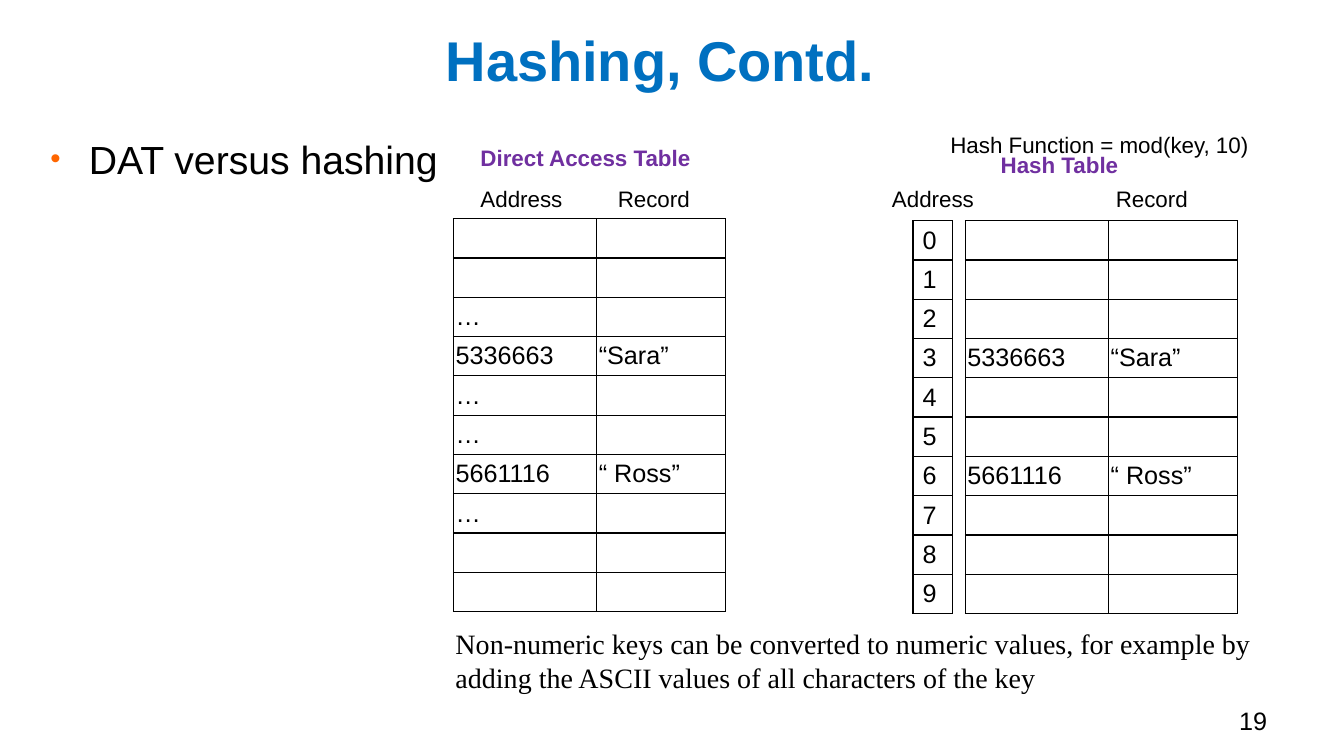
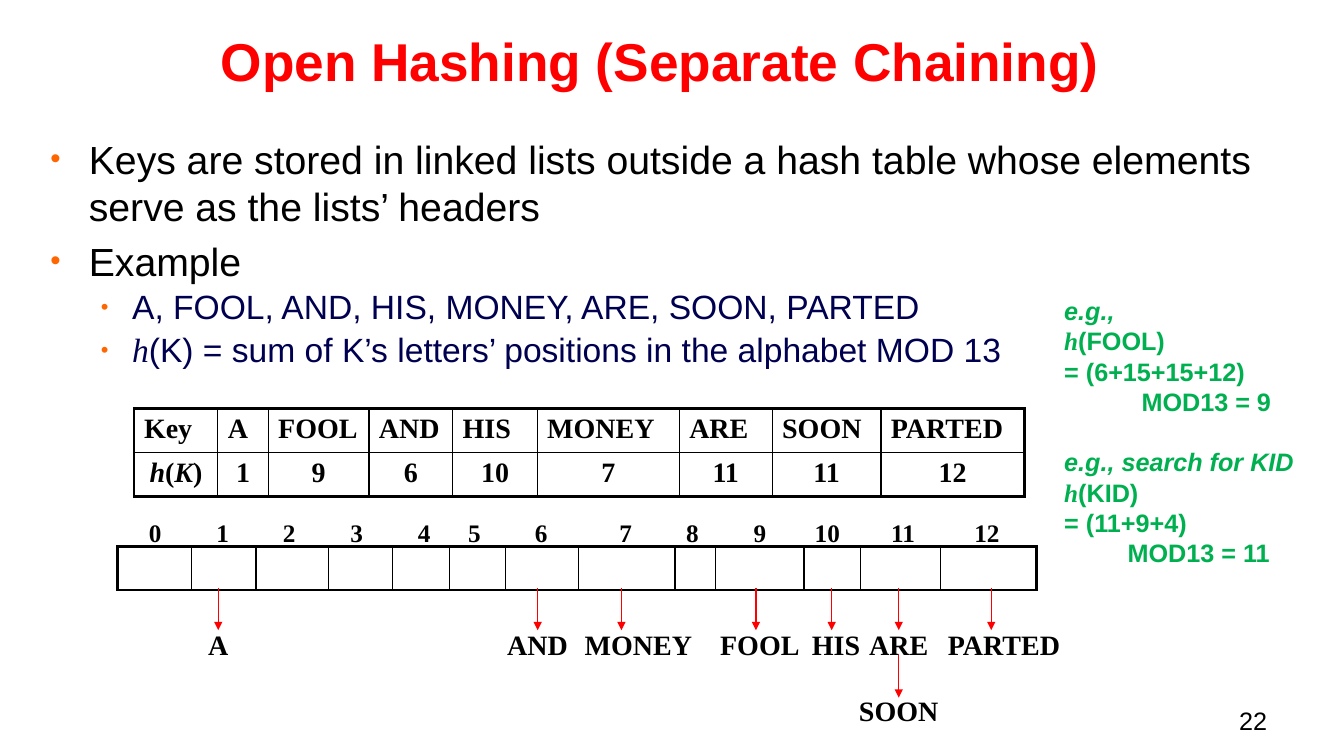
from lxml.etree import SubElement as Sub
from pptx import Presentation
from pptx.dml.color import RGBColor as Rgb
from pptx.enum.shapes import MSO_CONNECTOR as Link
from pptx.enum.text import MSO_ANCHOR as Anchor, MSO_AUTO_SIZE as Fit, PP_ALIGN as Align
from pptx.oxml.ns import qn
from pptx.util import Cm, Pt

SANS, SERIF = "Arial", "Times New Roman"
BLACK, BLUE, RED, PLUM = "000000", "0070C0", "FF0000", "7030A0"
NAVY, GREEN, AMBER = "000050", "00B050", "FF6600"
LEFT, MID, RIGHT = Align.LEFT, Align.CENTER, Align.RIGHT


def tint(code):
    return Rgb.from_string(code)


def box(*sides):
    return [Cm(side) for side in sides]


class Deck:
    levels = [dict(size=28, color=BLACK, left=0.97, hang=0.97, scale=75, pitch=1),
              dict(size=24, color=NAVY, left=2.06, hang=0.79, scale=65, pitch=0.9)]

    def __init__(self):
        self.prs = Presentation()
        self.prs.slide_width, self.prs.slide_height = box(33.87, 19.05)

    def start(self, title, size, color, num):
        self.slide = self.prs.slides.add_slide(self.prs.slide_layouts[1])
        frame = self.place(self.slide.shapes.title, 1.27, 0.94, 30.73, 1.4)
        frame.vertical_anchor = Anchor.MIDDLE
        self.put(frame.paragraphs[0], title, size, color, True, align=MID)
        frame.paragraphs[0].line_spacing = Pt(39.2)
        self.text(num, 24.28, 17.65, 7.9, 1.02, 18, align=RIGHT)

    def place(self, shape, x, y, w, h):
        shape.left, shape.top, shape.width, shape.height = box(x, y, w, h)
        frame = shape.text_frame
        self.inset(frame, 0, 0, 0, 0)
        frame.word_wrap, frame.auto_size = True, Fit.NONE
        return frame

    def inset(self, item, *sides):
        (item.margin_left, item.margin_top,
         item.margin_right, item.margin_bottom) = box(*sides)

    def put(self, para, text, size, color=BLACK, bold=False, face=SANS,
            align=LEFT, slant=False):
        """Text is a string, or a list of (words, face, slant) runs."""
        para.alignment = align
        font = para.font
        font.size, font.bold, font.color.rgb = Pt(size), bold, tint(color)
        if isinstance(text, str):
            para.add_run().text = text
            font.name, font.italic = face, slant
            return
        for words, name, lean in text:
            run = para.add_run()
            run.text, run.font.name, run.font.italic = words, name, lean

    def list(self, items, height):
        frame = self.place(self.slide.placeholders[1], 1.27, 3.4, 31.75, height)
        for i, (level, text) in enumerate(items):
            para = frame.add_paragraph() if i else frame.paragraphs[0]
            look = self.levels[level]
            para.level, para.line_spacing = level, look["pitch"]
            para.space_before = Pt(look["size"] * 0.2 if i else 0)
            props = para._p.get_or_add_pPr()
            props.set("marL", str(Cm(look["left"])))
            props.set("indent", str(-Cm(look["hang"])))
            Sub(Sub(props, qn("a:buClr")), qn("a:srgbClr"), val=AMBER)
            Sub(props, qn("a:buSzPct"), val=str(look["scale"] * 1000))
            Sub(props, qn("a:buFont"), typeface=SANS)
            Sub(props, qn("a:buChar"), char="•")
            self.put(para, text, look["size"], look["color"])

    def text(self, text, x, y, w, h, size, color=BLACK, bold=False, face=SANS,
             align=LEFT):
        frame = self.slide.shapes.add_textbox(*box(x, y, w, h)).text_frame
        frame.word_wrap = True
        self.put(frame.paragraphs[0], text, size, color, bold, face, align)
        return frame

    def label(self, text, mid, y, w, size):
        frame = self.text(text, mid - w / 2, y, w, 1.05, size, BLACK, True, SERIF, MID)
        self.inset(frame, 0, 0.13, 0, 0.13)

    def grid(self, rows, x, y, cols, high, edge, pads, size=18, bold=False,
             face=SANS, anchor=Anchor.MIDDLE, aligns=(LEFT,)):
        last, end = len(rows) - 1, len(cols) - 1
        table = self.slide.shapes.add_table(
            last + 1, end + 1, *box(x, y, sum(cols), high * len(rows))).table
        table.first_row = table.horz_banding = False
        for col, wide in zip(table.columns, cols):
            col.width = Cm(wide)
        for r, row in enumerate(rows):
            table.rows[r].height = Cm(high)
            for c, text in enumerate(row):
                cell = table.cell(r, c)
                self.inset(cell, *pads)
                cell.vertical_anchor = anchor
                outer = {"L": c == 0, "R": c == end, "T": r == 0, "B": r == last}
                for side, rim in outer.items():
                    line = Sub(cell._tc.get_or_add_tcPr(), qn("a:ln" + side),
                               w=str(Pt(edge if rim else 1)))
                    Sub(Sub(line, qn("a:solidFill")), qn("a:srgbClr"), val=BLACK)
                cell.fill.background()
                if text:
                    self.put(cell.text_frame.paragraphs[0], text, size, BLACK,
                             bold, face, aligns[r % len(aligns)])

    def arrow(self, x, y):
        link = self.slide.shapes.add_connector(Link.STRAIGHT, *box(x, y, x, y + 1.07))
        link.line.color.rgb, link.line.width = tint(RED), Pt(1)
        props = link._element.spPr
        Sub(props.get_or_add_ln(), qn("a:tailEnd"), type="triangle")
        Sub(props, qn("a:effectLst"))


def compare(deck):
    deck.start("Hashing, Contd.", 40, BLUE, "19")
    deck.list([(0, "DAT versus hashing")], 1.2)
    sara, ross = ("5336663", "“Sara”"), ("5661116", "“ Ross”")
    none, dots = ("", ""), ("…", "")
    direct = [none, none, dots, sara, dots, dots, ross, dots, none, none]
    hashed = [{3: sara, 6: ross}.get(i, none) for i in range(10)]
    digits = [(str(i),) for i in range(10)]
    pads, pair = (0.05, 0.05, 0.2, 0.05), (3.61, 3.25)
    deck.grid(hashed, 24.33, 5.56, pair, 0.99, 1, pads)
    deck.grid(digits, 23.01, 5.56, (0.99,), 0.99, 1, pads, aligns=(MID,))
    deck.grid(direct, 11.43, 5.51, pair, 0.99, 1, pads)
    for text, x, y, w, color in [
            ("Direct Access Table", 11.86, 3.51, 6.2, PLUM),
            ("Hash Table", 24.97, 3.68, 4, PLUM),
            ("Hash Function = mod(key, 10)", 23.7, 3.18, 8.5, BLACK),
            ("Address", 11.86, 4.55, 3, BLACK), ("Record", 15.32, 4.55, 3, BLACK),
            ("Address", 22.23, 4.55, 3, BLACK), ("Record", 27.87, 4.55, 3, BLACK)]:
        deck.text(text, x, y, w, 0.94, 16, color, color == PLUM)
    deck.text("Non-numeric keys can be converted to numeric values, for example by "
              "adding the ASCII values of all characters of the key",
              11.23, 15.67, 22.02, 1.96, 20, face=SERIF)


def chain(deck):
    deck.start("Open Hashing (Separate Chaining)", 38, RED, "22")
    func = ("h", SERIF, True)
    deck.list([
        (0, "Keys are stored in linked lists outside a hash table whose elements "
            "serve as the lists’ headers"),
        (0, "Example"),
        (1, "A, FOOL, AND, HIS, MONEY, ARE, SOON, PARTED"),
        (1, [func, ("(K) = sum of K’s letters’ positions in the alphabet MOD 13",
                    SANS, False)])], 11.07)
    look = dict(size=20, bold=True, face=SERIF, anchor=Anchor.TOP)
    pads = (0.25, 0.13, 0.25, 0.13)
    keys = ["Key", "A", "FOOL", "AND", "HIS", "MONEY", "ARE", "SOON", "PARTED"]
    name = [func, ("(", SERIF, False), ("K", SERIF, True), (")", SERIF, False)]
    codes = [name, "1", "9", "6", "10", "7", "11", "11", "12"]
    wide = (2.11, 1.27, 2.54, 2.11, 2.13, 3.58, 2.34, 2.74, 3.61)
    deck.grid([keys, codes], 3.38, 10.29, wide, 1.1, 2.25, pads,
              aligns=(LEFT, MID), **look)
    slots = (1.86, 1.62, 1.83, 1.62, 1.42, 1.42, 1.83, 2.44, 1.02, 2.23, 1.42, 2.03, 2.41)
    deck.grid([[""] * 13], 2.97, 13.77, slots, 1.1, 2.25, pads, **look)
    mids = (3.91, 5.61, 7.29, 8.99, 10.69, 11.96, 13.64, 15.77, 17.45, 19.15, 20.85,
            22.76, 24.87)
    for i, mid in enumerate(mids):
        deck.label(str(i), mid, 12.9, 1.48, 18)
    for word, x, mid, w in [
            ("A", 5.5, 5.5, 0.84), ("AND", 13.55, 13.55, 2.11),
            ("MONEY", 15.66, 16.09, 3.38), ("FOOL", 19.05, 19.15, 2.74),
            ("HIS", 20.96, 21.07, 1.91), ("ARE", 22.65, 22.65, 2.11),
            ("PARTED", 24.98, 25.3, 3.61)]:
        deck.arrow(x, 14.81)
        deck.label(word, mid, 15.67, w, 20)
    deck.arrow(22.65, 16.51)
    deck.label("SOON", 22.65, 17.35, 2.54, 20)
    note(deck)


def note(deck):
    def call(word):
        return [("h", SERIF, True), (f"({word})", SANS, False)]

    lines = [(call("FOOL"), 0, 0), ("= (6+15+15+12)", 0, 0), ("MOD13 = 9", 1.95, 0),
             ("e.g., search for KID", 0, 21.6), (call("KID"), 0, 0),
             ("= (11+9+4)", 0, 0), ("MOD13 = 11", 1.6, 0)]
    frame = deck.text([("e.g.,", SANS, True)], 26.57, 7.32, 6.5, 7.19, 18, GREEN, True)
    for text, left, gap in lines:
        para = frame.add_paragraph()
        para.space_before = Pt(gap)
        para._p.get_or_add_pPr().set("marL", str(Cm(left)))
        deck.put(para, text, 18, GREEN, True, slant="search" in text)


def main():
    deck = Deck()
    compare(deck)
    chain(deck)
    deck.prs.save("out.pptx")


if __name__ == "__main__":
    main()
